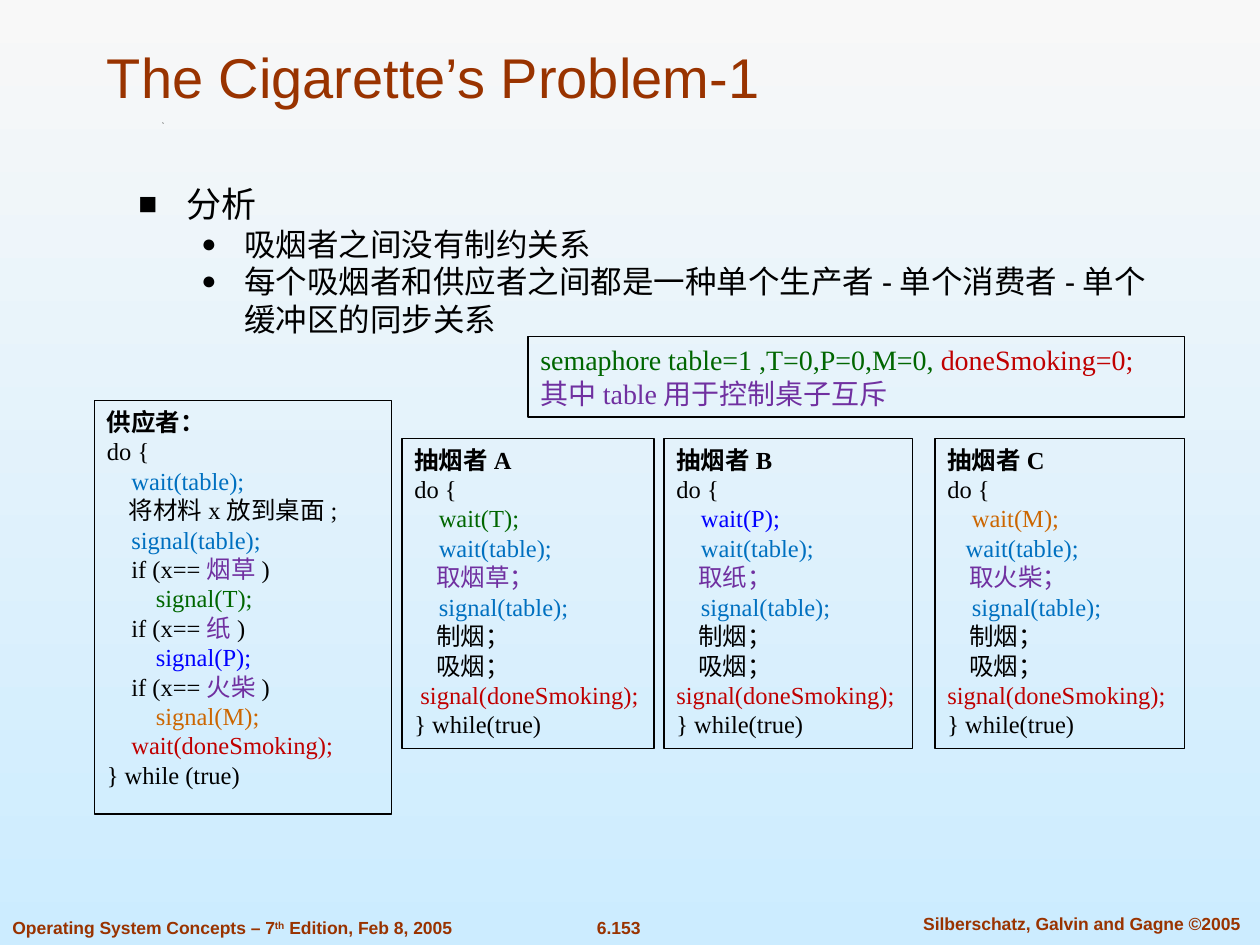
from dataclasses import dataclass

from lxml import etree
from pptx import Presentation
from pptx.dml.color import RGBColor
from pptx.enum.shapes import MSO_SHAPE
from pptx.enum.text import MSO_ANCHOR, PP_ALIGN
from pptx.oxml.ns import qn
from pptx.util import Inches, Pt

RECT = MSO_SHAPE.RECTANGLE
LEFT, MID = PP_ALIGN.LEFT, PP_ALIGN.CENTER
TOP, BASE = MSO_ANCHOR.TOP, MSO_ANCHOR.BOTTOM
COLS, ROWS = 100, 75


@dataclass(frozen=True)
class Theme:
    sans: str = "Arial"
    serif: str = "Times New Roman"
    sky: str = "F8F8F8"
    ground: str = "CCECFF"
    rust: str = "993300"
    ink: str = "000000"
    blue: str = "0070C0"
    red: str = "C00000"
    violet: str = "7030A0"
    green: str = "006600"
    navy: str = "0000FF"
    amber: str = "CC6600"
    title: int = 32
    head: int = 20
    point: int = 18
    note: int = 16
    code: int = 14
    foot: int = 10


T = Theme()
CELL = Inches(10) // COLS


def span(box):
    """Turn columns and rows into lengths."""
    return [round(n * CELL) for n in box]


def rgb(code):
    return RGBColor.from_string(code)


def write(frame, lines, face, size, bold=False, align=LEFT, anchor=TOP):
    """Fill a frame; each line is a list of (text, colour) parts."""
    frame.word_wrap = True
    frame.vertical_anchor = anchor
    for i, line in enumerate(lines):
        para = frame.paragraphs[0] if i == 0 else frame.add_paragraph()
        para.alignment = align
        for text, tint in line:
            run = para.add_run()
            run.text = text
            font = run.font
            font.name, font.size, font.bold = face, Pt(size), bold
            font.color.rgb = rgb(tint)


def bullet(para, mark, left, hang, scale):
    props = para._p.get_or_add_pPr()
    props.set("marL", str(Inches(left)))
    props.set("indent", str(-Inches(hang)))
    etree.SubElement(props, qn("a:buSzPct")).set("val", str(scale * 1000))
    etree.SubElement(props, qn("a:buFont")).set("typeface", T.sans)
    etree.SubElement(props, qn("a:buChar")).set("char", mark)


def title(slide, box):
    frame = slide.shapes.add_textbox(*span(box)).text_frame
    write(frame, [[("The Cigarette’s Problem-1", T.rust)]],
          T.sans, T.title, anchor=BASE)


def points(slide, box):
    frame = slide.shapes.add_textbox(*span(box)).text_frame
    texts = ["分析", "吸烟者之间没有制约关系",
             "每个吸烟者和供应者之间都是一种单个生产者-单个消费者-单个缓冲区的同步关系"]
    write(frame, [[(text, T.ink)] for text in texts], T.sans, T.point)
    first, *subs = frame.paragraphs
    first.runs[0].font.size = Pt(T.head)
    bullet(first, "■", 0.38, 0.38, 90)
    for para in subs:
        para.level = 1
        bullet(para, "●", 0.84, 0.34, 80)


def panel(slide, box, lines, size):
    """Draw an outlined box of code."""
    shape = slide.shapes.add_shape(RECT, *span(box))
    shape.shadow.inherit = False
    shape.fill.background()
    shape.line.color.rgb = rgb(T.ink)
    shape.line.width = Pt(0.75)
    write(shape.text_frame, lines, T.serif, size)
    return shape.text_frame


def routine(slide, box, name, body, end):
    """Draw a panel with a bold name and a do-while loop."""
    lines = [[(name, T.ink)], [("do {", T.ink)], *body, [(end, T.ink)]]
    frame = panel(slide, box, lines, T.code)
    frame.paragraphs[0].runs[0].font.bold = True


def supplier(slide, box, goods):
    body = [[("    wait(table);", T.blue)],
            [("    将材料x放到桌面;", T.ink)],
            [("    signal(table);", T.blue)]]
    for _, flag, item, tint in goods:
        body.append([("    if (x==", T.ink), (item, T.violet), (")", T.ink)])
        body.append([(f"        signal({flag});", tint)])
    body.append([("    wait(doneSmoking);", T.red)])
    routine(slide, box, "供应者：", body, "} while (true)")


def smoker(slide, box, good, lead="    ", tail=""):
    name, flag, item, tint = good
    body = [[(f"    wait({flag});", tint)],
            [(f"{lead}wait(table);", T.blue)],
            [(f"    取{item}；", T.violet)],
            [("    signal(table);", T.blue)],
            [("    制烟；", T.ink)],
            [("    吸烟；", T.ink)],
            [(f"{tail}signal(doneSmoking);", T.red)]]
    routine(slide, box, f"抽烟者{name}", body, "} while(true)")


def footer(slide, box):
    left, top, width, height = box
    rust = T.rust
    parts = [
        (0, 0, 0.411, LEFT, [("Operating System Concepts – 7", rust),
                             ("th", rust), (" Edition, Feb 8, 2005", rust)]),
        (0.45, 0, 0.082, MID, [("6.153", rust)]),
        (0.71, -0.3, 0.297, MID,
         [("Silberschatz, Galvin and Gagne ©2005", rust)]),
    ]
    for x, drop, share, align, line in parts:
        spot = (left + x * width, top + drop, share * width, height)
        frame = slide.shapes.add_textbox(*span(spot)).text_frame
        write(frame, [line], T.sans, T.foot, True, align)
        for run in frame.paragraphs[0].runs:
            if run.text == "th":
                run._r.get_or_add_rPr().set("baseline", "30000")


def speck(slide, box):
    """Draw the tiny mark below the title."""
    x, y, w, h = span(box)
    pen = slide.shapes.build_freeform(x, y + h)
    pen.add_line_segments([(x, y), (x + w, y + h)], close=True)
    shape = pen.convert_to_shape()
    shape.shadow.inherit = False
    shape.fill.solid()
    shape.fill.fore_color.rgb = rgb(T.ink)
    shape.line.fill.background()


def backdrop(slide):
    fill = slide.background.fill
    fill.gradient()
    fill.gradient_angle = 270
    for stop, tint in zip(fill.gradient_stops, (T.sky, T.ground)):
        stop.color.rgb = rgb(tint)


def main():
    deck = Presentation()
    deck.slide_width, deck.slide_height = COLS * CELL, ROWS * CELL
    slide = deck.slides.add_slide(deck.slide_layouts[6])
    goods = [("A", "T", "烟草", T.green), ("B", "P", "纸", T.navy),
             ("C", "M", "火柴", T.amber)]

    # Frame of the slide
    backdrop(slide)
    footer(slide, (0, 72.3, COLS, 2.7))
    speck(slide, (12.9, 9.7, 0.1, 0.1))

    # Heading and analysis
    title(slide, (7.5, 2.5, 88.3, 6.7))
    points(slide, (10, 14, 82.7, 15.9))

    # Code of each process
    supplier(slide, (7.5, 31.8, 23.6, 32.8), goods)
    smoker(slide, (31.9, 34.8, 20, 24.6), goods[0], tail=" ")
    smoker(slide, (52.7, 34.8, 19.7, 24.6), goods[1])
    smoker(slide, (74.2, 34.8, 19.8, 24.6), goods[2], lead="   ")

    # Shared semaphores
    panel(slide, (41.9, 26.7, 52.1, 6.4),
          [[("semaphore table=1 ,T=0,P=0,M=0, ", T.green),
            ("doneSmoking=0;", T.red)],
           [("其中table用于控制桌子互斥", T.violet)]], T.note)
    deck.save("out.pptx")


if __name__ == "__main__":
    main()
